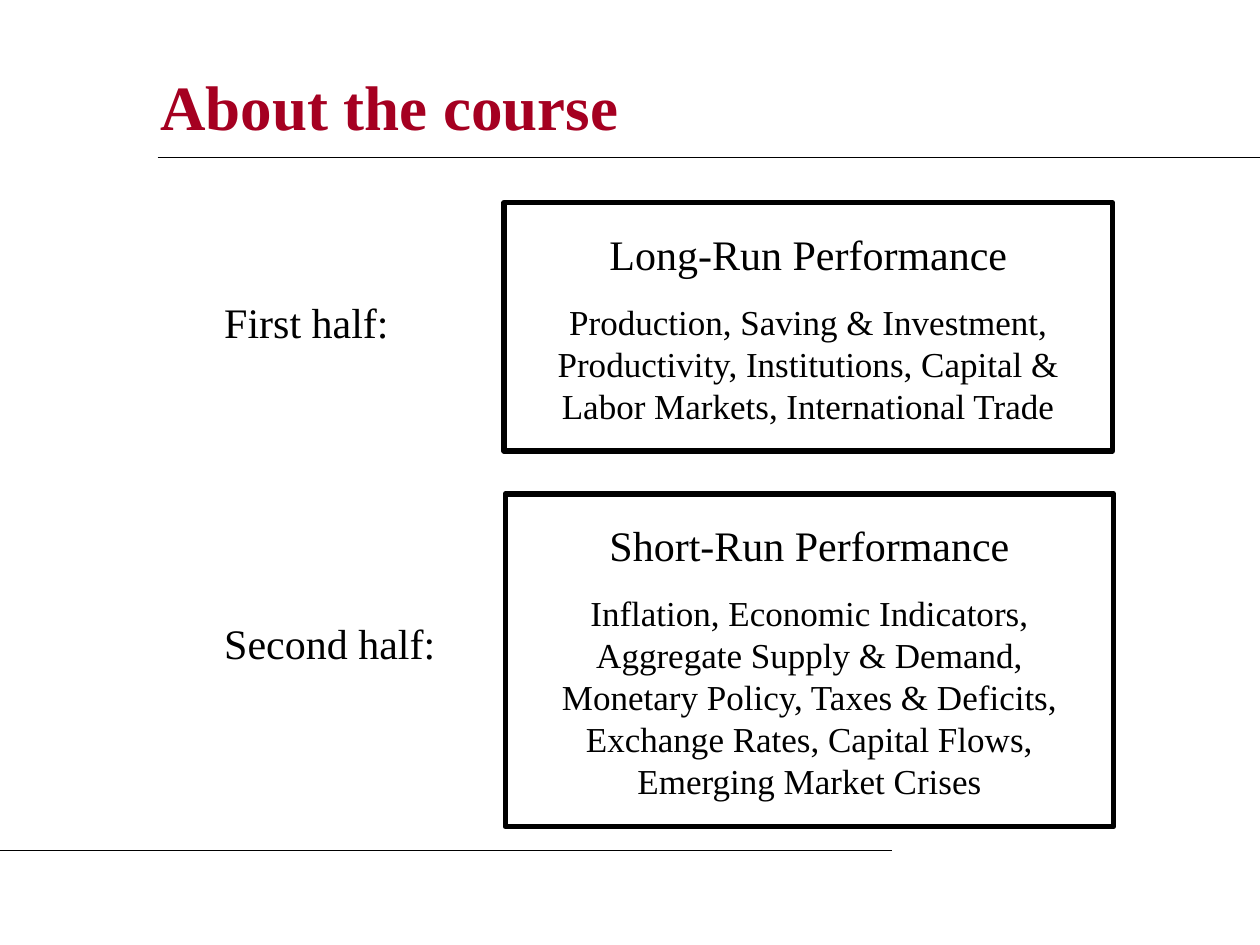
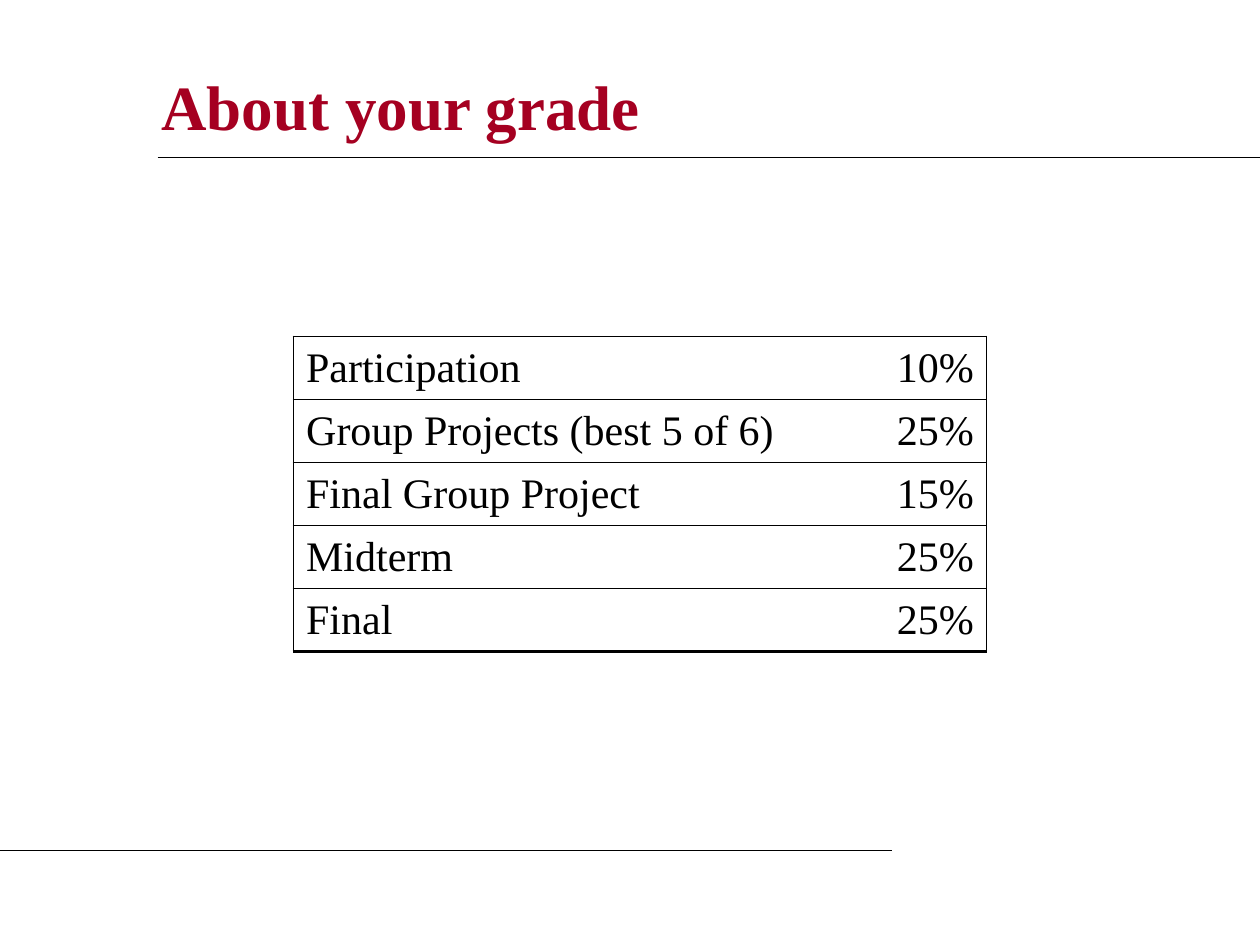
import dataclasses

import pptx
import pptx.dml.color
import pptx.enum.shapes
import pptx.enum.text
import pptx.oxml
import pptx.oxml.ns
import pptx.util

Inches = pptx.util.Inches
Pt = pptx.util.Pt
Align = pptx.enum.text.PP_ALIGN
Anchor = pptx.enum.text.MSO_ANCHOR


@dataclasses.dataclass(frozen=True)
class Theme:
    """Colours, type sizes and line widths shared by the slides."""

    font: str = "Times New Roman"
    ink: str = "000000"
    accent: str = "A50021"
    title: float = 36
    heading: float = 24
    detail: float = 20
    rule: float = 0.75
    frame: float = 3
    table_edge: float = 1.08
    table_base: float = 1.47
    table_rule: float = 0.45


THEME = Theme()
TITLE_ONLY_LAYOUT = 5
RULES = [(1.25, 1.25, 10), (0, 6.75, 7.08)]
COURSE_HALVES = [
    {
        "label": "First half:",
        "label_box": (1.58, 2.33, 2.33, 0.6),
        "label_spacing": 0.5,
        "topic_box": (4, 1.61, 4.83, 1.97),
        "heading": "Long-Run Performance",
        "topics": "Production, Saving & Investment, Productivity, Institutions, "
        "Capital & Labor Markets, International Trade",
    },
    {
        "label": "Second half:",
        "label_box": (1.58, 4.7, 2.33, 0.8),
        "label_spacing": None,
        "topic_box": (4.01, 3.92, 4.83, 2.64),
        "heading": "Short-Run Performance",
        "topics": "Inflation, Economic Indicators, Aggregate Supply & Demand, "
        "Monetary Policy, Taxes & Deficits, Exchange Rates, Capital Flows, "
        "Emerging Market Crises",
    },
]
GRADE_WEIGHTS = [
    ("Participation", "10%"),
    ("Group Projects (best 5 of 6)", "25%"),
    ("Final Group Project", "15%"),
    ("Midterm", "25%"),
    ("Final", "25%"),
]


def rgb(code):
    """Turn a hex code into a colour."""
    return pptx.dml.color.RGBColor.from_string(code)


def inches(box):
    """Turn a box of plain numbers into lengths."""
    return [Inches(value) for value in box]


def write(para, text, size=THEME.heading, color=THEME.ink, bold=False,
          align=Align.LEFT, before=None, spacing=None):
    """Write formatted text into a paragraph."""
    para.alignment = align
    if before is not None:
        para.space_before = Pt(before)
    if spacing is not None:
        para.line_spacing = spacing
    span = para.add_run()
    span.text = text
    span.font.name = THEME.font
    span.font.size = Pt(size)
    span.font.bold = bold
    span.font.color.rgb = rgb(color)


def prepare_frame(frame, margin, anchor=Anchor.TOP):
    """Set wrapping, anchor and equal margins, and return the first paragraph."""
    frame.word_wrap = True
    frame.auto_size = pptx.enum.text.MSO_AUTO_SIZE.NONE
    frame.vertical_anchor = anchor
    frame.margin_left = frame.margin_right = Inches(margin)
    frame.margin_top = frame.margin_bottom = Inches(margin)
    return frame.paragraphs[0]


def add_rule(page, left, top, right):
    """Draw a thin horizontal rule."""
    rule = page.shapes.add_connector(
        pptx.enum.shapes.MSO_CONNECTOR.STRAIGHT, *inches((left, top, right, top)))
    rule.line.color.rgb = rgb(THEME.ink)
    rule.line.width = Pt(THEME.rule)
    properties = rule._element.spPr
    properties.append(properties.makeelement(pptx.oxml.ns.qn("a:effectLst"), {}))


def add_page(deck, title, title_box):
    """Add a slide with its title and the two shared rules."""
    page = deck.slides.add_slide(deck.slide_layouts[TITLE_ONLY_LAYOUT])
    holder = page.shapes.title
    holder.left, holder.top, holder.width, holder.height = inches(title_box)
    para = prepare_frame(holder.text_frame, 0.1, Anchor.MIDDLE)
    write(para, title, size=THEME.title, color=THEME.accent, bold=True)
    for rule in RULES:
        add_rule(page, *rule)
    return page


def add_topic_box(page, box, heading, topics):
    """Draw a framed box with a heading over its topics."""
    shape = page.shapes.add_shape(
        pptx.enum.shapes.MSO_SHAPE.RECTANGLE, *inches(box))
    shape.shadow.inherit = False
    shape.fill.background()
    shape.line.color.rgb = rgb(THEME.ink)
    shape.line.width = Pt(THEME.frame)
    write(prepare_frame(shape.text_frame, 0.2), heading, align=Align.CENTER)
    write(shape.text_frame.add_paragraph(), topics, size=THEME.detail,
          align=Align.CENTER, before=12.5)


def add_label(page, box, text, spacing):
    """Place the label of one half of the course."""
    shape = page.shapes.add_textbox(*inches(box))
    write(prepare_frame(shape.text_frame, 0.2), text, spacing=spacing)


def set_border(cell, side, width):
    """Draw one side of a cell, or clear it when the width is zero."""
    namespace = pptx.oxml.ns.nsdecls("a")
    paint = (f'<a:solidFill><a:srgbClr val="{THEME.ink}"/></a:solidFill>'
             if width else "<a:noFill/>")
    cell._tc.get_or_add_tcPr().append(pptx.oxml.parse_xml(
        f'<a:ln{side} {namespace} w="{int(Pt(width))}">{paint}</a:ln{side}>'))


def add_grade_table(page, box, weights, value_width):
    """Add the table of grade weights with an outline and row rules."""
    left, top, width, height = box
    table = page.shapes.add_table(len(weights), 2, *inches(box)).table
    table.first_row = table.horz_banding = False
    table.columns[0].width = Inches(width - value_width)
    table.columns[1].width = Inches(value_width)
    last = len(weights) - 1
    for row, texts in enumerate(weights):
        table.rows[row].height = Inches(height / len(weights))
        for column, text in enumerate(texts):
            cell = table.cell(row, column)
            cell.vertical_anchor = Anchor.MIDDLE
            set_border(cell, "L", 0 if column else THEME.table_edge)
            set_border(cell, "R", THEME.table_edge if column else 0)
            set_border(cell, "T", THEME.table_rule if row else THEME.table_edge)
            set_border(cell, "B",
                       THEME.table_base if row == last else THEME.table_rule)
            cell.fill.background()
            write(cell.text_frame.paragraphs[0], text,
                  align=Align.RIGHT if column else Align.LEFT)


def build_course(deck):
    """Build the slide on the two halves of the course."""
    page = add_page(deck, "About the course", (1.17, 0.42, 8.08, 0.83))
    for half in COURSE_HALVES:
        add_topic_box(page, half["topic_box"], half["heading"], half["topics"])
        add_label(page, half["label_box"], half["label"], half["label_spacing"])


def build_grade(deck):
    """Build the slide on the grade weights."""
    page = add_page(deck, "About your grade", (1.18, 0.5, 8.33, 0.67))
    add_grade_table(page, (2.33, 2.67, 5.5, 2.5), GRADE_WEIGHTS, 1.41)


def main():
    """Build and save the deck."""
    deck = pptx.Presentation()
    deck.slide_width, deck.slide_height = inches((10, 7.5))
    build_course(deck)
    build_grade(deck)
    deck.save("out.pptx")


if __name__ == "__main__":
    main()
